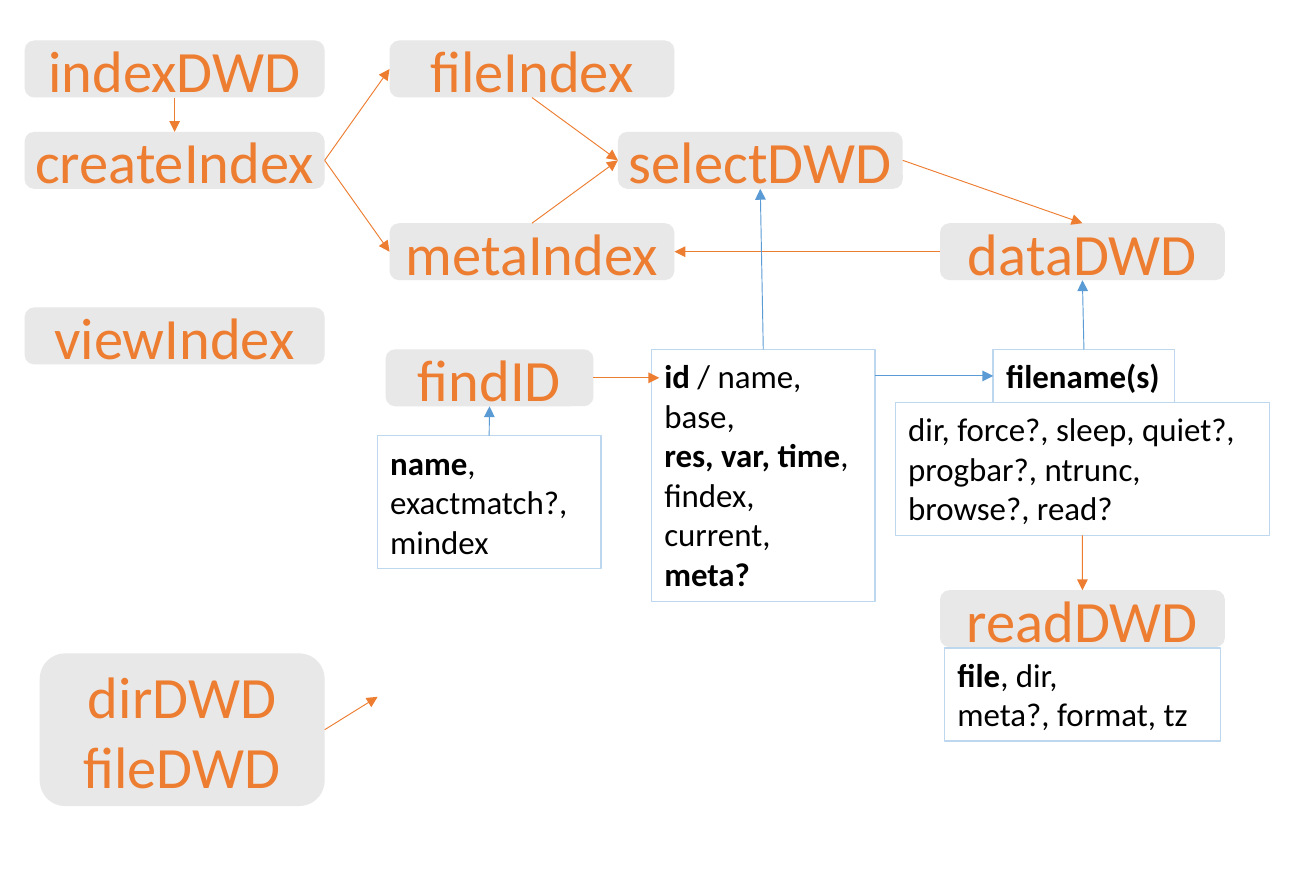
import pptx
import pptx.util
import pptx.dml.color
import pptx.enum.shapes
import pptx.enum.text
import pptx.oxml.ns
import lxml.etree

COLORS = {"node": "E7E6E6", "flow": "ED7D31", "border": "BDD7EE",
          "argument": "5B9BD5", "text": "000000"}
rgb = pptx.dml.color.RGBColor.from_string
qn = pptx.oxml.ns.qn
MSO_SHAPE = pptx.enum.shapes.MSO_SHAPE

prs = pptx.Presentation()
prs.slide_width = pptx.util.Cm(25.4)
prs.slide_height = pptx.util.Cm(17)
s = prs.slides.add_slide(prs.slide_layouts[6])

# Square grid: 100 columns across the slide
U = prs.slide_width / 100
TOP, NODE_H = 3.08, 4.33
STEP = 6.94
ROWS = [TOP + STEP * i for i in range(3)]
LEFT, INDEX, SELECT, DATA = 1.87, 29.6, 46.95, 71.43
WIDE, NODE_W = 22.8, 21.65
ARG_ROW = 26.54
ARROW_ROW = ARG_ROW + NODE_H / 2


def add_box(lines, x, y, w, h, geometry=MSO_SHAPE.RECTANGLE, size=18, color="text",
            fill=None, line=None, align="LEFT", anchor="TOP", inset=None,
            wrap=True, grow=False):
    """Add a shape with text; asterisks in a line switch bold on and off."""
    sp = s.shapes.add_shape(geometry, *(round(v * U) for v in (x, y, w, h)))
    sp.shadow.inherit = False
    if fill:
        sp.fill.solid()
        sp.fill.fore_color.rgb = rgb(COLORS[fill])
        clr = sp.fill._xPr.find(".//" + qn("a:srgbClr"))
        lxml.etree.SubElement(clr, qn("a:alpha"), val="91000")
    else:
        sp.fill.background()
    if line:
        sp.line.color.rgb = rgb(COLORS[line])
        sp.line.width = pptx.util.Pt(0.75)
    else:
        sp.line.fill.background()
    tf = sp.text_frame
    tf.word_wrap = wrap
    tf.vertical_anchor = getattr(pptx.enum.text.MSO_ANCHOR, anchor)
    if grow:
        tf.auto_size = pptx.enum.text.MSO_AUTO_SIZE.SHAPE_TO_FIT_TEXT
    if inset is not None:
        tf.margin_left = tf.margin_right = round(inset * U)
        tf.margin_top = tf.margin_bottom = round(inset * U)
    for i, text in enumerate(lines):
        p = tf.paragraphs[0] if i == 0 else tf.add_paragraph()
        p.alignment = getattr(pptx.enum.text.PP_ALIGN, align)
        for j, part in enumerate(text.split("*")):
            if part:
                r = p.add_run()
                r.text = part
                r.font.name = "Calibri"
                r.font.size = pptx.util.Pt(size)
                r.font.bold = j % 2 == 1
                r.font.color.rgb = rgb(COLORS[color])
    return sp


# Function nodes
boxes = {}
for name, x, y, w in [
    ("indexDWD", LEFT, ROWS[0], WIDE),
    ("createIndex", LEFT, ROWS[1], WIDE),
    ("viewIndex", LEFT, 23.36, WIDE),
    ("fileIndex", INDEX, ROWS[0], NODE_W),
    ("metaIndex", INDEX, ROWS[2], NODE_W),
    ("selectDWD", SELECT, ROWS[1], NODE_W),
    ("dataDWD", DATA, ROWS[2], NODE_W),
    ("readDWD", DATA, 44.84, NODE_W),
    ("findID", 29.3, ARG_ROW, 15.8),
    ("dirDWD\nfileDWD", 3.02, 49.64, NODE_W),
]:
    lines = name.split("\n")
    boxes[lines[0]] = add_box(
        lines, x, y, w, NODE_H if len(lines) == 1 else 11.6,
        geometry=MSO_SHAPE.ROUNDED_RECTANGLE, size=32, color="flow", fill="node",
        align="CENTER", anchor="MIDDLE", inset=0.4)

# Argument lists
for key, lines, x, y, w, h in [
    ("select args", ["*id* / name,", "base,", "*res, var, time*,", "findex,",
                     "current,", "*meta?*"], 49.5, ARG_ROW, 17, 19.15),
    ("filenames", ["*filename(s)*"], 75.47, ARG_ROW, 13.8, 4.04),
    ("data args", ["dir, force?, sleep, quiet?,",
                   "progbar?, ntrunc, browse?, read?"], 68.03, 30.58, 28.43, 10.1),
    ("find args", ["*name*,", "exactmatch?,", "mindex"], 28.67, 33.1, 17, 10.1),
    ("read args", ["*file*, dir,", "meta?, format, tz"], 71.77, 49.24, 20.97, 7.07),
]:
    boxes[key] = add_box(lines, x, y, w, h, line="border", grow=True,
                         wrap=key != "filenames")

# Arrows: each end is a box with its connection site, or a grid point
N, W, S, E = range(4)
for color, start, end in [
    ("flow", ("indexDWD", S), ("createIndex", N)),
    ("flow", ("createIndex", E), ("fileIndex", W)),
    ("flow", ("createIndex", E), ("metaIndex", W)),
    ("flow", ("fileIndex", S), ("selectDWD", W)),
    ("flow", ("metaIndex", N), ("selectDWD", W)),
    ("flow", ("selectDWD", E), ("dataDWD", N)),
    ("flow", ("dataDWD", W), ("metaIndex", E)),
    ("flow", ("data args", S), ("readDWD", N)),
    ("flow", ("dirDWD", E), (28.7, 52.94)),
    ("flow", ("findID", E), (50.1, ARROW_ROW)),
    ("argument", ("select args", N), ("selectDWD", S)),
    ("argument", (66.5, 28.56), (75.47, 28.56)),
    ("argument", ("filenames", N), ("dataDWD", S)),
    ("argument", ("find args", N), ("findID", S)),
]:
    points = [(0, 0) if pt[0] in boxes else pt for pt in (start, end)]
    cxn = s.shapes.add_connector(pptx.enum.shapes.MSO_CONNECTOR.STRAIGHT,
                                 *(round(v * U) for pt in points for v in pt))
    if start[0] in boxes:
        cxn.begin_connect(boxes[start[0]], start[1])
    if end[0] in boxes:
        cxn.end_connect(boxes[end[0]], end[1])
    cxn.line.color.rgb = rgb(COLORS[color])
    cxn.line.width = pptx.util.Pt(0.5)
    lxml.etree.SubElement(cxn.line._get_or_add_ln(), qn("a:tailEnd"), type="triangle")
    lxml.etree.SubElement(cxn._element.spPr, qn("a:effectLst"))

prs.save("out.pptx")
